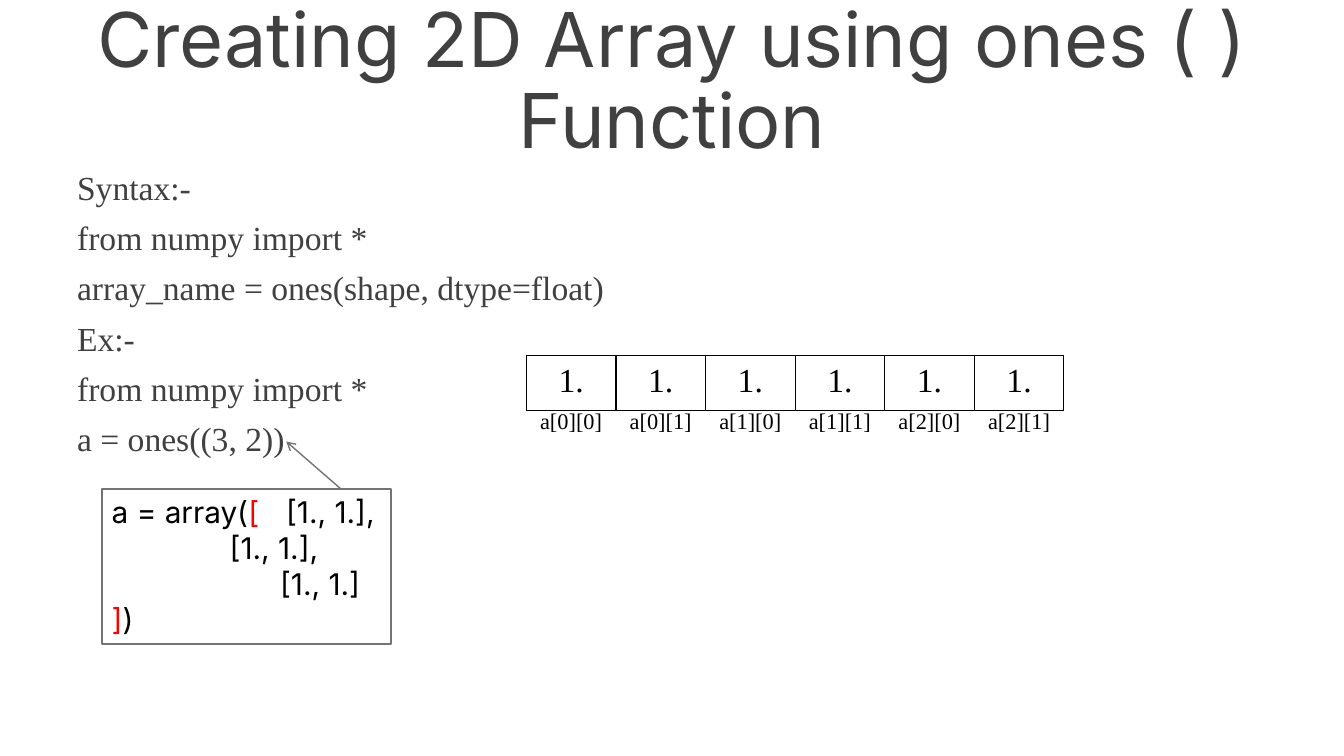
import pptx
import pptx.dml.color
import pptx.enum.shapes
import pptx.enum.text
import pptx.oxml
import pptx.oxml.ns
import pptx.util
from lxml import etree

COLORS = {"text": "404040", "code": "000000", "bracket": "FF0000",
          "outline": "737474", "paper": "FFFFFF"}
SANS, SERIF = "Inter", "Times New Roman"
NO_GRID_STYLE = "{2D5ABB26-0587-4C30-8999-92F81FD0307C}"
WIDTH, HEIGHT = pptx.util.Inches(13.33), pptx.util.Inches(7.5)
CENTER = pptx.enum.text.PP_ALIGN.CENTER


def rgb(name):
    return pptx.dml.color.RGBColor.from_string(COLORS[name])


def place(x, y, *size):
    """Turn percentages of the slide's width and height into lengths."""
    shares = (x, y, *size)
    return [round((HEIGHT if i % 2 else WIDTH) * share / 100)
            for i, share in enumerate(shares)]


def add_xml(parent, tag, **attributes):
    return etree.SubElement(parent, pptx.oxml.ns.qn(tag), attributes)


def add_run(p, text, size, font, color):
    r = p.add_run()
    r.text = text
    r.font.size = pptx.util.Pt(size)
    r.font.name = font
    r.font.color.rgb = rgb(color)


def add_text(s, box, lines, size, font, align=None, space=0):
    tf = s.shapes.add_textbox(*place(*box)).text_frame
    tf.word_wrap = True
    for i, line in enumerate(lines):
        p = tf.paragraphs[0] if i == 0 else tf.add_paragraph()
        p.alignment = align
        p.line_spacing = 0.9
        if i:
            p.space_before = pptx.util.Pt(space)
        add_run(p, line, size, font, "text")


def add_borders(cell):
    tcPr = cell._tc.get_or_add_tcPr()
    for side in ("a:lnL", "a:lnR", "a:lnT", "a:lnB"):
        ln = add_xml(tcPr, side, w=str(pptx.util.Pt(1)))
        add_xml(add_xml(ln, "a:solidFill"), "a:srgbClr", val=COLORS["code"])


def add_row(s, box, values, size, bordered=False):
    x, y, width, height = place(*box)
    frame = s.shapes.add_table(1, len(values), x, y, width, height)
    table = frame.table
    table.first_row = table.horz_banding = False
    table._tbl.tblPr.find(pptx.oxml.ns.qn("a:tableStyleId")).text = NO_GRID_STYLE
    for cell, value in zip(table.iter_cells(), values):
        cell.margin_left = cell.margin_right = pptx.util.Inches(0.13)
        cell.margin_top = cell.margin_bottom = pptx.util.Inches(0.07)
        if bordered:
            add_borders(cell)
        cell.fill.background()
        p = cell.text_frame.paragraphs[0]
        p.alignment = CENTER
        add_run(p, value, size, SERIF, "code")


def add_result(s, box):
    """Draw the box that shows the array, with its rows set by indents."""
    sp = s.shapes.add_shape(pptx.enum.shapes.MSO_SHAPE.RECTANGLE, *place(*box))
    sp.shadow.inherit = False
    sp.fill.solid()
    sp.fill.fore_color.rgb = rgb("paper")
    sp.line.color.rgb = rgb("outline")
    sp.line.width = pptx.util.Pt(1)
    tf = sp.text_frame
    tf.word_wrap = True
    tf.vertical_anchor = pptx.enum.text.MSO_ANCHOR.TOP
    lines = [
        (0, [("a = array(", "code"), ("[", "bracket"), ("\t[1., 1.],", "code")]),
        (1.17, [("[1., 1.],", "code")]),
        (1.67, [("[1., 1.]", "code")]),
        (0, [("]", "bracket"), (")", "code")]),
    ]
    for i, (indent, runs) in enumerate(lines):
        p = tf.paragraphs[0] if i == 0 else tf.add_paragraph()
        pPr = p._p.get_or_add_pPr()
        pPr.set("marL", str(pptx.util.Inches(indent)))
        if i == 0:
            add_xml(add_xml(pPr, "a:tabLst"), "a:tab",
                    pos=str(pptx.util.Inches(1.73)), algn="l")
        p.alignment = pptx.enum.text.PP_ALIGN.LEFT
        for text, color in runs:
            add_run(p, text, 21.3, SANS, color)


def add_arrow(s, start, end):
    line = s.shapes.add_connector(pptx.enum.shapes.MSO_CONNECTOR.STRAIGHT,
                                  *place(*start), *place(*end))
    line.line.color.rgb = rgb("outline")
    line.line.width = pptx.util.Pt(1)
    add_xml(line.line._get_or_add_ln(), "a:tailEnd", type="arrow")
    add_xml(line._element.spPr, "a:effectLst")


def build_array_slide(prs):
    s = prs.slides.add_slide(prs.slide_layouts[6])
    add_text(s, (5, -0.4, 90, 16.67), ["Creating 2D Array using ones ( ) Function"],
             54, SANS, align=CENTER)
    add_text(s, (5, 22, 90, 72.4),
             ["Syntax:-", "from numpy import *",
              "array_name = ones(shape, dtype=float)",
              "Ex:-", "from numpy import *", "a = ones((3, 2))"],
             24, SERIF, space=10)
    labels = [f"a[{i}][{j}]" for i in range(3) for j in range(2)]
    add_row(s, (39.16, 47.07, 40, 7.2), ["1."] * len(labels), 24, bordered=True)
    add_row(s, (39.16, 53.2, 40, 7.2), labels, 16)
    add_result(s, (7.58, 64.67, 21.53, 20.53))
    add_arrow(s, (25.36, 64.67), (21.3, 58.4))


def main():
    prs = pptx.Presentation()
    prs.slide_width, prs.slide_height = WIDTH, HEIGHT
    build_array_slide(prs)
    prs.save("out.pptx")


if __name__ == "__main__":
    main()
